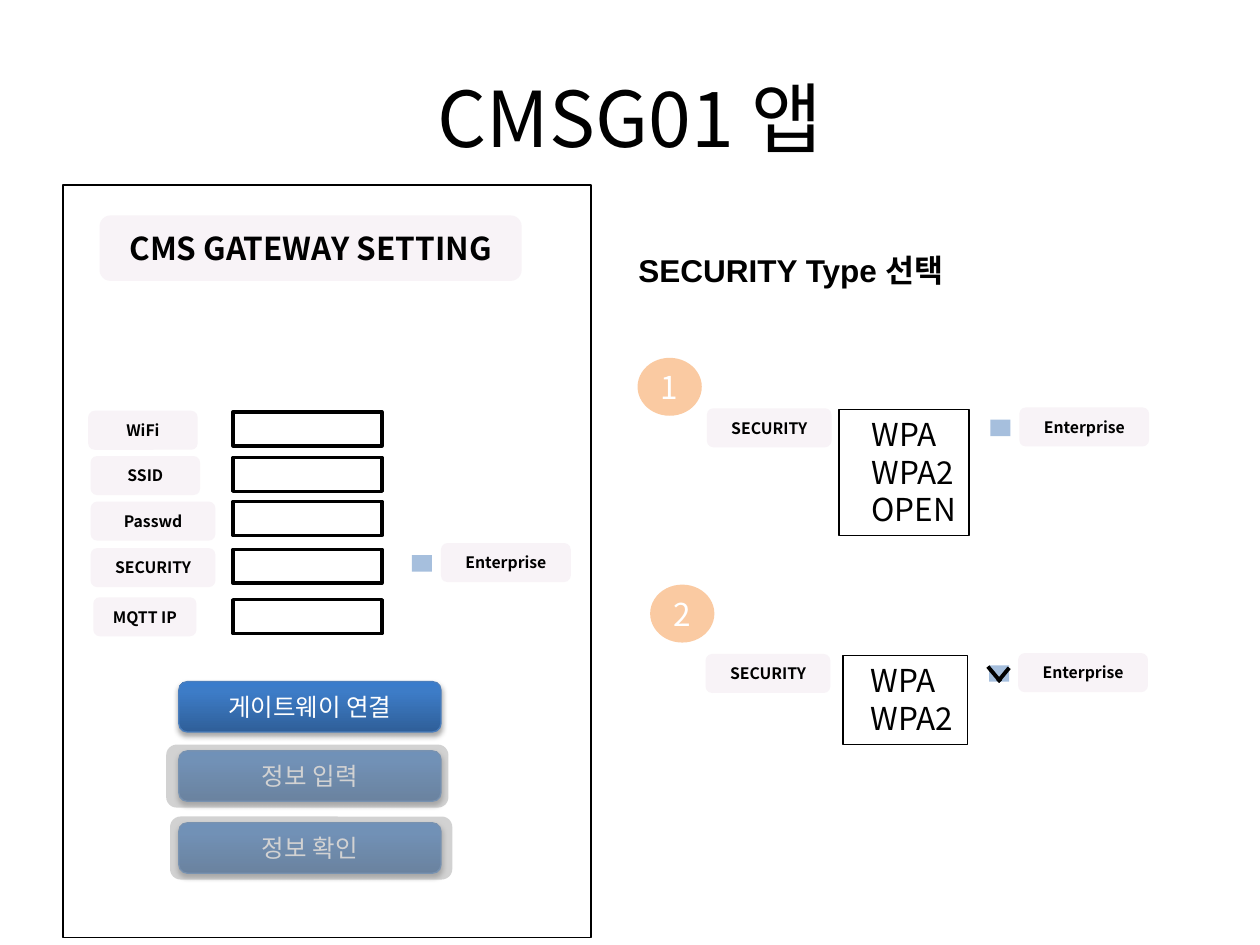
from copy import deepcopy

from lxml import etree
from pptx import Presentation
from pptx import util as u
from pptx.dml.color import RGBColor
from pptx.enum import shapes, text
from pptx.oxml.ns import qn

KOREAN = "Noto Sans CJK KR"
RECT = shapes.MSO_SHAPE.RECTANGLE
ROUND = shapes.MSO_SHAPE.ROUNDED_RECTANGLE
OVAL = shapes.MSO_SHAPE.OVAL
LEFT, CENTER = text.PP_ALIGN.LEFT, text.PP_ALIGN.CENTER
TOP, MIDDLE = text.MSO_ANCHOR.TOP, text.MSO_ANCHOR.MIDDLE
LABEL_HEIGHT = 22.3


def color(value):
    return RGBColor.from_string(value)


def points(*values):
    return [u.Pt(value) for value in values]


def write(shape, lines, size, ink="000000", bold=False, font=KOREAN,
          align=CENTER, anchor=MIDDLE, spacing=None):
    frame = shape.text_frame
    frame.word_wrap = True
    frame.vertical_anchor = anchor
    for index, line in enumerate(lines):
        para = frame.paragraphs[0] if index == 0 else frame.add_paragraph()
        para.alignment = align
        para.line_spacing = spacing
        span = para.add_run()
        span.text = line
        for name, value in {"size": u.Pt(size), "bold": bold, "name": font}.items():
            setattr(span.font, name, value)
        span.font.color.rgb = color(ink)
        east = etree.SubElement(span.font._element, qn("a:ea"))
        east.set("typeface", KOREAN)


def add_text(page, box, lines, size, **format_values):
    shape = page.shapes.add_textbox(*points(*box))
    write(shape, lines, size, **format_values)


def add_block(page, kind, box, fill=None, alpha=None, line=None, width=0.75):
    shape = page.shapes.add_shape(kind, *points(*box))
    shape.shadow.inherit = False
    if fill:
        shape.fill.solid()
        shape.fill.fore_color.rgb = color(fill)
    else:
        shape.fill.background()
    if alpha:
        tint = shape._element.spPr.find(qn("a:solidFill"))[0]
        etree.SubElement(tint, qn("a:alpha")).set("val", str(alpha * 1000))
    if line:
        shape.line.color.rgb = color(line)
        shape.line.width = u.Pt(width)
    else:
        shape.line.fill.background()
    return shape


def add_label(page, box, caption, size=9):
    write(add_block(page, ROUND, box, "F8F3F7"), [caption], size, bold=True)


def add_enterprise(page, left, top):
    """Check box with its label to the right."""
    add_block(page, RECT, (left, top + 7, 11.5, 9.4), "4F81BD", alpha=50)
    add_label(page, (left + 16.6, top, 74.2, LABEL_HEIGHT), "Enterprise")


def add_button(page, box, caption):
    button = add_block(page, ROUND, box, line="4B7EBC")
    button.fill.gradient()
    button.fill.gradient_angle = 90
    properties = button._element.spPr
    stop_list = properties.find(qn("a:gradFill")).find(qn("a:gsLst"))
    stop_list.append(deepcopy(stop_list[-1]))
    stops = ((0, "2F5F99"), (0.8, "3D7CC7"), (1, "3A7CCB"))
    for stop, (position, tint) in zip(button.fill.gradient_stops, stops):
        stop.position = position
        stop.color.rgb = color(tint)
    # Soft shadow below
    shadow = etree.SubElement(properties.find(qn("a:effectLst")), qn("a:outerShdw"))
    for name, value in {"blurRad": u.Pt(3.1), "dist": u.Pt(1.8), "dir": 5400000,
                        "rotWithShape": 0}.items():
        shadow.set(name, str(value))
    tint = etree.SubElement(shadow, qn("a:srgbClr"), val="000000")
    etree.SubElement(tint, qn("a:alpha"), val="35000")
    write(button, [caption], 14, ink="FFFFFF")


def add_tick(page, left, top):
    for ends in ((-0.7, 0.7, 6.5, 9.3), (5, 9.3, 11.5, 1.4)):
        x1, y1, x2, y2 = ends
        stroke = page.shapes.add_connector(
            shapes.MSO_CONNECTOR.STRAIGHT,
            *points(left + x1, top + y1, left + x2, top + y2))
        stroke.line.color.rgb = color("000000")
        stroke.line.width = u.Pt(2.25)
        etree.SubElement(stroke._element.spPr, qn("a:effectLst"))


def add_app_screen(page, box):
    left, top, _, _ = box
    # Input rows: caption, label left, label top, label width, field top
    rows = (("WiFi", 14.4, 128.9, 62.6, 129.6),
            ("SSID", 15.8, 154.8, 62.6, 155.6),
            ("Passwd", 15.8, 180.8, 71.3, 180.8),
            ("SECURITY", 15.8, 207.4, 71.3, 208.1),
            ("MQTT IP", 17.3, 235.5, 59, 236.9))
    for caption, x, y, width, field_y in rows:
        add_label(page, (left + x, top + y, width, LABEL_HEIGHT), caption)
        add_block(page, RECT, (left + 97.2, top + field_y, 85, 19.4),
                  "FFFFFF", line="000000", width=2)
    add_enterprise(page, left + 199.4, top + 204.5)
    # Buttons
    for caption, y in (("게이트웨이 연결", 283.7), ("정보 입력", 323.3), ("정보 확인", 364.4)):
        add_button(page, (left + 66.2, top + y, 149.8, 28.8), caption)
    # Heading and frame
    add_label(page, (left + 20.9, top + 17.3, 241.2, 37.4), "CMS GATEWAY SETTING", 18)
    add_block(page, RECT, box, line="000000")
    # Grey veils over the disabled buttons
    for x, y in ((59, 319.7), (61.2, 360.8)):
        add_block(page, ROUND, (left + x, top + y, 161.3, 36), "A6A6A6", alpha=50)


def add_security_step(page, box, number, badge, choices, inset, ticked=False):
    """box spans from the SECURITY label to the end of the choice list."""
    left, top, width, height = box
    add_label(page, (left, top, 71.3, LABEL_HEIGHT), "SECURITY")
    # Choice list
    add_block(page, RECT, (left + inset, top + 0.7, width - inset, height), line="000000")
    add_text(page, (left + 87.1, top + 0.7, 62.6, height), choices, 18,
             align=LEFT, anchor=TOP, spacing=u.Pt(21.4))
    # Enterprise option
    add_enterprise(page, left + 162, top - 0.5)
    if ticked:
        add_tick(page, left + 162, top + 6.5)
    # Number badge
    circle = add_block(page, OVAL, (*badge, 36.7, 33.1), "F79646", alpha=50)
    write(circle, [number], 18, ink="FFFFFF")


def main():
    deck = Presentation()
    deck.slide_width, deck.slide_height = points(720, 540)
    page = deck.slides.add_slide(deck.slide_layouts[6])
    add_text(page, (36, 21.6, 648, 90), ["CMSG01 앱"], 44)
    add_app_screen(page, (36, 105.8, 301.7, 429.8))
    add_text(page, (357.8, 139.7, 360, 28.8), ["SECURITY Type 선택"], 18,
             bold=True, font="Arial", align=LEFT, anchor=TOP)
    add_security_step(page, (403.9, 233.3, 149.8, 72), "1", (364.3, 204.5),
                      ["WPA", "WPA2", "OPEN"], 75.6)
    add_security_step(page, (403.2, 373.7, 149.8, 51.1), "2", (371.5, 334.1),
                      ["WPA", "WPA2"], 78.5, ticked=True)
    deck.save("out.pptx")


if __name__ == "__main__":
    main()
